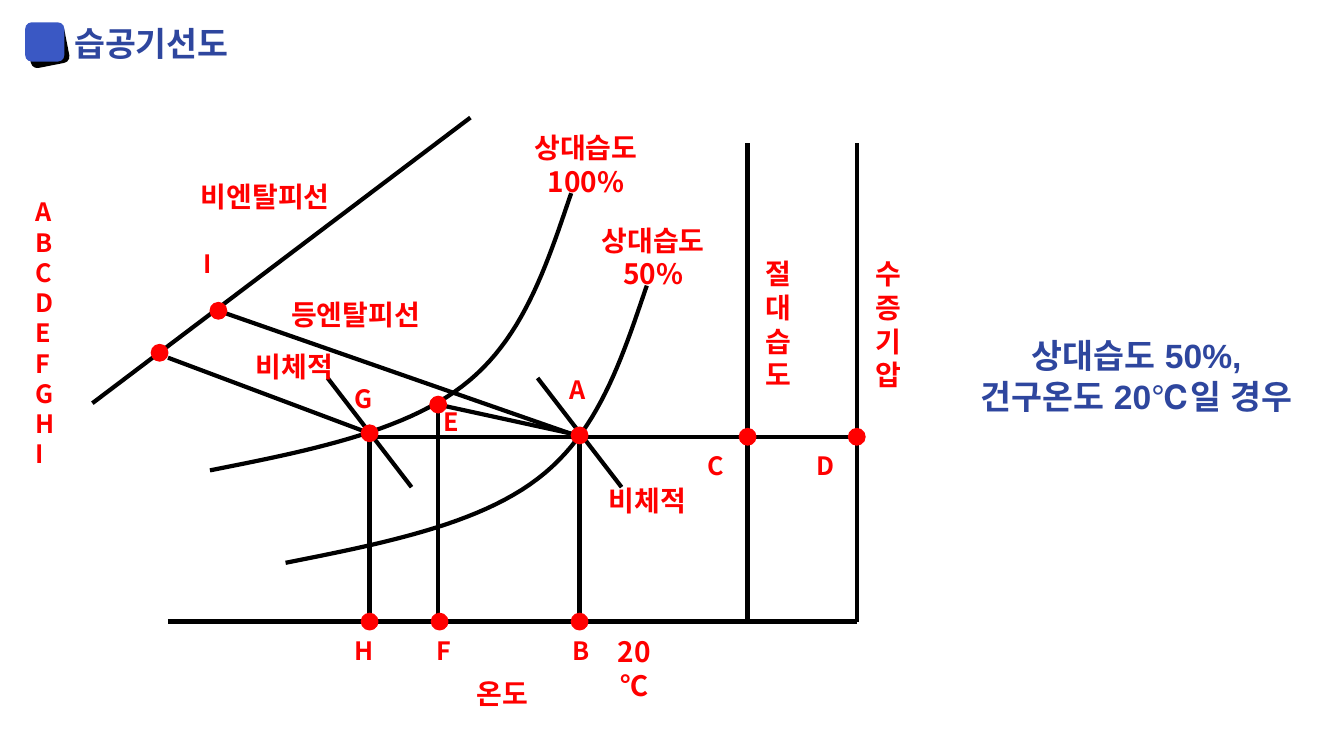
from lxml.etree import SubElement
from pptx import Presentation
from pptx.dml.color import RGBColor
from pptx.enum.shapes import MSO_CONNECTOR, MSO_SHAPE
from pptx.enum.text import MSO_AUTO_SIZE, PP_ALIGN
from pptx.oxml.ns import qn
from pptx.util import Pt

COLORS = {"ink": "000000", "mark": "FF0000", "title": "2E469E", "badge": "3A58C4"}
KOREAN = "Noto Sans CJK KR"


class ChartSlide:
    def __init__(self, prs):
        self.slide = prs.slides.add_slide(prs.slide_layouts[6])
        self.shapes = self.slide.shapes
        self.stroke = Pt(3)

    def color(self, name):
        return RGBColor.from_string(COLORS[name])

    def line(self, start, end):
        sp = self.shapes.add_connector(MSO_CONNECTOR.STRAIGHT, *map(Pt, start + end))
        sp.line.color.rgb = self.color("ink")
        sp.line.width = self.stroke
        SubElement(sp._element.spPr, qn("a:effectLst"))

    def curve(self, start, *segments, steps=24):
        points = []
        p0 = start
        for p1, p2, p3 in segments:
            for i in range(1, steps + 1):
                t = i / steps
                u = 1 - t
                points.append(tuple(
                    Pt(u**3 * a + 3 * u * u * t * b + 3 * u * t * t * c + t**3 * d)
                    for a, b, c, d in zip(p0, p1, p2, p3)))
            p0 = p3
        builder = self.shapes.build_freeform(Pt(start[0]), Pt(start[1]))
        builder.add_line_segments(points, close=False)
        sp = builder.convert_to_shape()
        sp.shadow.inherit = False
        sp.fill.background()
        sp.line.color.rgb = self.color("ink")
        sp.line.width = self.stroke

    def solid(self, kind, x, y, size, color, rotation=0):
        sp = self.shapes.add_shape(kind, Pt(x), Pt(y), Pt(size), Pt(size))
        sp.shadow.inherit = False
        sp.fill.solid()
        sp.fill.fore_color.rgb = self.color(color)
        sp.line.fill.background()
        sp.rotation = rotation
        return sp

    def dot(self, center):
        x, y = center
        sp = self.solid(MSO_SHAPE.OVAL, x - 6, y - 6, 12, "mark")
        sp.line.color.rgb = self.color("mark")
        sp.line.width = Pt(0.75)

    def text(self, lines, x, y, w, size=20, align=PP_ALIGN.LEFT, font=KOREAN,
             color="mark", wrap=False, inset=7.2):
        h = len(lines) * size * 1.2 + 7.2
        tf = self.shapes.add_textbox(Pt(x), Pt(y), Pt(w), Pt(h)).text_frame
        tf.word_wrap = wrap
        tf.auto_size = MSO_AUTO_SIZE.SHAPE_TO_FIT_TEXT
        tf.margin_left = Pt(inset)
        for i, line in enumerate(lines):
            p = tf.add_paragraph() if i else tf.paragraphs[0]
            p.text = line
            p.alignment = align
            p.font.size = Pt(size)
            p.font.bold = True
            p.font.color.rgb = self.color(color)
            p.font.name = font
            SubElement(p._p.pPr.find(qn("a:defRPr")), qn("a:ea"), typeface=font)


def main():
    prs = Presentation()
    prs.slide_width, prs.slide_height = Pt(960), Pt(540)
    s = ChartSlide(prs)

    s.solid(MSO_SHAPE.ROUNDED_RECTANGLE, 20, 19, 28, "ink", 348.9)
    s.solid(MSO_SHAPE.ROUNDED_RECTANGLE, 18, 16, 28, "badge")
    heading = {"size": 24, "font": "Arial", "color": "title", "wrap": True}
    s.text(["습공기선도"], 36.5, 13, 629, inset=16.5, **heading)
    s.text(["상대습도 50%,", "건구온도 20℃일 경우"], 682, 236, 260,
           align=PP_ALIGN.CENTER, **heading)

    base, level = 444, 312
    state, dew, wet = (414, 311), (264, 309.5), (313, 289)
    enthalpy, dew_enthalpy = (156, 222), (114, 252)
    humidity, vapor = (534, level), (612, level)
    feet = [(264, base), (314, base), (414, base)]

    for start, end in [
        ((120, base), (612, base)),
        ((612, base), (612, 102)),
        ((534, base), (534, 102)),
        ((66, 288), (336, 84)),
        ((264, level), (264, base)),
        (wet, (313, base)),
        ((414, level), (414, base)),
        (dew, (120, 255.5)),
        ((264, level), vapor),
        ((414, level), enthalpy),
        (state, wet),
        ((234, 270), (294, 348)),
        ((384, 270), (444, 348)),
    ]:
        s.line(start, end)

    for dx, dy in [(0, 0), (54, 66)]:
        start, *rest = [(x + dx, y + dy) for x, y in [
            (150, 336), (218, 322.5), (287, 309), (330, 276),
            (373, 243.5), (390, 191), (408, 138)]]
        s.curve(start, rest[:3], rest[3:])

    for center in [state, dew, wet, enthalpy, dew_enthalpy, humidity, vapor, *feet]:
        s.dot(center)

    for letter, x, y, w in [
        ("A", 400, 264, 27), ("B", 402, 450, 26), ("C", 498, 318, 26),
        ("D", 576, 318, 28), ("E", 310, 286.5, 25), ("F", 304.5, 450, 25),
        ("G", 246, 270, 27), ("H", 246, 450, 29), ("I", 138, 174, 20),
    ]:
        s.text([letter], x, y, w, 18)
    s.text("ABCDEFGHI", 18, 137, 29, 18)

    s.text("절대습도", 540, 180, 34.5)
    s.text("수증기압", 618, 180, 34.5)
    s.text(["온도"], 333.5, 480, 54.5)
    for lines, x, y, w in [
        (["상대습도", "100%"], 371, 90, 95),
        (["상대습도", "50%"], 419, 156, 95),
        (["비엔탈피선"], 132, 124.5, 115),
        (["등엔탈피선"], 196.5, 209, 115),
        (["비체적"], 173, 246, 75),
        (["비체적"], 425, 342, 75),
    ]:
        s.text(lines, x, y, w, align=PP_ALIGN.CENTER)
    s.text(["20℃"], 425, 450, 56, align=PP_ALIGN.CENTER, wrap=True)

    prs.save("out.pptx")


if __name__ == "__main__":
    main()
